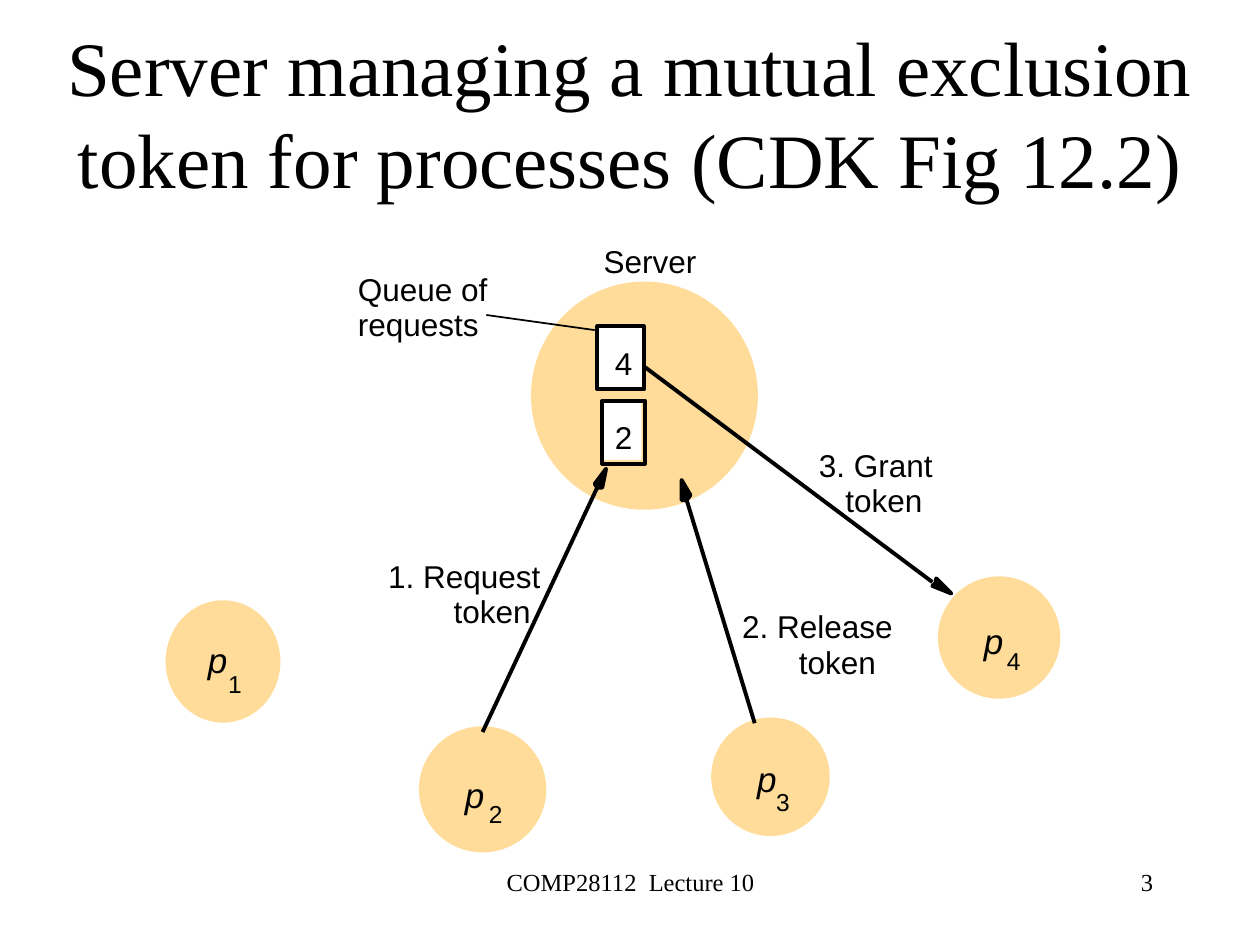
from lxml.etree import SubElement
from pptx import Presentation
from pptx.dml.color import RGBColor
from pptx.enum.shapes import MSO_CONNECTOR, MSO_SHAPE
from pptx.enum.text import MSO_ANCHOR, MSO_AUTO_SIZE, PP_ALIGN
from pptx.oxml.ns import qn
from pptx.util import Inches, Pt

BLACK = RGBColor(0x00, 0x00, 0x00)
WHITE = RGBColor(0xFF, 0xFF, 0xFF)
PEACH = RGBColor(0xFF, 0xDC, 0x99)
SANS, SERIF = "Arial", "Times New Roman"
THICK, THIN = 2.25, 1
LINE_STEP = 0.28
LABEL_SLACK = 0.04  # spare width that keeps each label on one line

# Text, left, top, width, height, size, alignment, anchor
PAGE_TEXTS = [
    ("Server managing a mutual exclusion token for processes (CDK Fig 12.2)",
     0, 0.92, 10, 0.75, 44, PP_ALIGN.CENTER, MSO_ANCHOR.BOTTOM),
    ("COMP28112  Lecture 10", 3.42, 6.83, 3.17, 0.5, 14, PP_ALIGN.CENTER, MSO_ANCHOR.TOP),
    ("3", 7.17, 6.83, 2.08, 0.5, 14, PP_ALIGN.RIGHT, MSO_ANCHOR.TOP),
]
SERVER = (4.23, 2.25, 1.77, 1.78)
# Circle, position of the letter p, position and text of its index
PROCESSES = [
    ((7.46, 4.59, 0.94, 0.94), (7.81, 4.92), (7.99, 5.13), "4"),
    ((5.66, 5.71, 0.91, 0.91), (6.01, 6.01), (6.16, 6.25), "3"),
    ((3.34, 5.78, 0.98, 0.97), (3.69, 6.14), (3.88, 6.34), "2"),
    ((1.33, 4.78, 0.88, 0.94), (1.65, 5.07), (1.81, 5.31), "1"),
]
# Left, top, frame width, frame fill, queued process
QUEUE = [(4.74, 2.59, 0.37, WHITE, "4"), (4.78, 3.18, 0.34, None, "2")]
FRAME_HEIGHT, INSET = 0.5, 0.03
# Top, then (text, left, width) of each line
LABELS = [
    (1.92, [("Server", 4.79, 0.74)]),
    (2.14, [("Queue of", 2.84, 1.03), ("requests", 2.84, 0.96)]),
    (4.42, [("1. Request", 3.08, 1.21), ("token", 3.6, 0.61)]),
    (4.82, [("2. Release", 5.89, 1.2), ("token", 6.34, 0.61)]),
    (3.54, [("3. Grant", 6.5, 0.9), ("token", 6.71, 0.61)]),
]
GRANT_LINE = ((5.02, 2.84), (7.4, 4.62), THICK)
OTHER_LINES = [
    ((3.83, 5.81), (4.74, 3.87), THICK),
    ((5.99, 5.74), (5.45, 3.97), THICK),
    ((3.86, 2.5), (4.72, 2.62), THIN),
]
ARROWHEADS = [
    [(4.74, 3.87), (4.72, 3.84), (4.81, 3.72), (4.78, 3.87)],
    [(7.43, 4.62), (7.43, 4.59), (7.55, 4.71), (7.4, 4.65)],
    [(5.45, 3.97), (5.41, 3.97), (5.41, 3.81), (5.48, 3.93)],
]


def paint(sp, fill, line):
    sp.shadow.inherit = False
    if fill is None:
        sp.fill.background()
    else:
        sp.fill.solid()
        sp.fill.fore_color.rgb = fill
    if line is None:
        sp.line.fill.background()
    else:
        sp.line.color.rgb = line
        sp.line.width = Pt(THICK)


def add_preset(shapes, kind, box, fill, line):
    paint(shapes.add_shape(kind, *map(Inches, box)), fill, line)


def add_line(shapes, start, end, width):
    cx = shapes.add_connector(MSO_CONNECTOR.STRAIGHT, *map(Inches, start + end))
    cx.line.color.rgb = BLACK
    cx.line.width = Pt(width)
    SubElement(cx._element.spPr, qn("a:effectLst"))


def add_arrowhead(shapes, points):
    first, *rest = [(Inches(x), Inches(y)) for x, y in points]
    builder = shapes.build_freeform(*first)
    builder.add_line_segments(rest, close=True)
    paint(builder.convert_to_shape(), BLACK, BLACK)


def add_text(shapes, text, box, size, font):
    tf = shapes.add_textbox(*map(Inches, box)).text_frame
    tf.text = text
    f = tf.paragraphs[0].runs[0].font
    f.name, f.size, f.color.rgb = font, Pt(size), BLACK
    return tf


def add_label(shapes, text, box, size=18, italic=False):
    """Add unwrapped text without margins."""
    left, top, width, height = box
    tf = add_text(shapes, text, (left, top, width + LABEL_SLACK, height), size, SANS)
    tf.margin_left = tf.margin_right = tf.margin_top = tf.margin_bottom = 0
    tf.word_wrap = False
    tf.auto_size = MSO_AUTO_SIZE.SHAPE_TO_FIT_TEXT
    if italic:
        tf.paragraphs[0].runs[0].font.italic = True


def add_queue_slot(shapes, left, top, width, fill, number):
    inner = (left, top, width - INSET, FRAME_HEIGHT - INSET)
    add_preset(shapes, MSO_SHAPE.RECTANGLE, inner, WHITE, None)
    add_preset(shapes, MSO_SHAPE.RECTANGLE, (left, top, width, FRAME_HEIGHT), fill, BLACK)
    add_label(shapes, number, (4.88, top + 0.14, 0.14, 0.3))


def main():
    prs = Presentation()
    prs.slide_width, prs.slide_height = Inches(10), Inches(7.5)
    shapes = prs.slides.add_slide(prs.slide_layouts[6]).shapes

    for text, left, top, width, height, size, align, anchor in PAGE_TEXTS:
        tf = add_text(shapes, text, (left, top, width, height), size, SERIF)
        tf.word_wrap = True
        tf.vertical_anchor = anchor
        tf.paragraphs[0].alignment = align

    add_preset(shapes, MSO_SHAPE.OVAL, SERVER, PEACH, PEACH)
    add_line(shapes, *GRANT_LINE)
    for slot in QUEUE:
        add_queue_slot(shapes, *slot)
    for circle, letter_at, index_at, index in PROCESSES:
        add_preset(shapes, MSO_SHAPE.OVAL, circle, PEACH, PEACH)
        add_label(shapes, "p", letter_at + (0.16, 0.33), 20, italic=True)
        add_label(shapes, index, index_at + (0.11, 0.23), 14)
    for line in OTHER_LINES:
        add_line(shapes, *line)
    for points in ARROWHEADS:
        add_arrowhead(shapes, points)
    for top, lines in LABELS:
        for i, (text, left, width) in enumerate(lines):
            add_label(shapes, text, (left, top + i * LINE_STEP, width, 0.3))

    prs.save("out.pptx")


if __name__ == "__main__":
    main()
